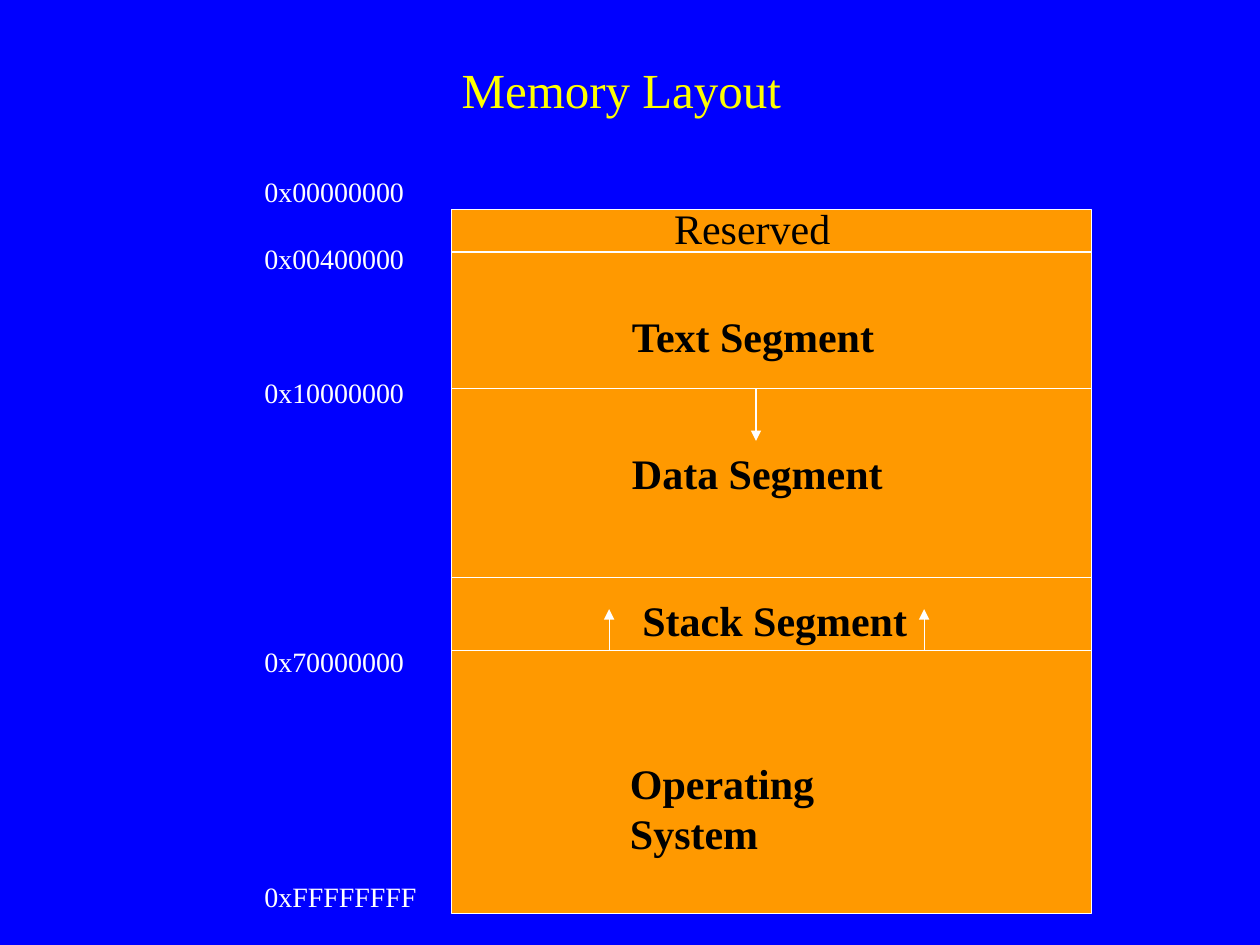
"""Build the memory layout slide."""
import dataclasses

import lxml.etree
import pptx
import pptx.dml.color
import pptx.enum.shapes
import pptx.enum.text
import pptx.oxml.ns
import pptx.util

Cm = pptx.util.Cm
Pt = pptx.util.Pt
ALIGN = pptx.enum.text.PP_ALIGN
ANCHOR = pptx.enum.text.MSO_ANCHOR


@dataclasses.dataclass(frozen=True)
class Theme:
    font: str = "Times New Roman"
    background: str = "0000FF"
    memory: str = "FF9900"
    outline: str = "FFFFFF"
    title: str = "FFFF00"
    label: str = "000000"
    address: str = "FFFFFF"
    title_size: float = 28
    label_size: float = 24
    address_size: float = 16
    address_pitch: float = 19.2
    line_width: float = 0.75


def color(value):
    return pptx.dml.color.RGBColor.from_string(value)


def write(para, text, *, font, size, ink, bold=False, align=ALIGN.LEFT):
    para.alignment = align
    span = para.add_run()
    span.text = text
    span.font.name = font
    span.font.size = Pt(size)
    span.font.bold = bold
    span.font.color.rgb = color(ink)


class Painter:
    def __init__(self, theme, page):
        self.theme = theme
        self.page = page
        page.background.fill.solid()
        page.background.fill.fore_color.rgb = color(theme.background)

    def frame(self, left, top, width, height):
        box = self.page.shapes.add_textbox(Cm(left), Cm(top), Cm(width), Cm(height))
        box.text_frame.word_wrap = False
        return box.text_frame

    def title(self, text, left, top, width, height, indent):
        frame = self.frame(left, top, width, height)
        frame.word_wrap = True
        frame.vertical_anchor = ANCHOR.MIDDLE
        frame.margin_left = Cm(indent)
        write(frame.paragraphs[0], text, font=self.theme.font, size=self.theme.title_size,
              ink=self.theme.title, align=ALIGN.CENTER)

    def label(self, text, left, top, width, bold=True):
        frame = self.frame(left, top, width, 1.27)
        frame.auto_size = pptx.enum.text.MSO_AUTO_SIZE.SHAPE_TO_FIT_TEXT
        write(frame.paragraphs[0], text, font=self.theme.font, size=self.theme.label_size,
              ink=self.theme.label, bold=bold)

    def addresses(self, rows, left, top, width, height):
        frame = self.frame(left, top, width, height)
        pitch = self.theme.address_pitch
        previous = -1
        for row, text in rows:
            para = frame.paragraphs[0] if previous < 0 else frame.add_paragraph()
            para.line_spacing = Pt(pitch)
            para.space_before = Pt(pitch * (row - previous - 1))
            write(para, text, font=self.theme.font, size=self.theme.address_size,
                  ink=self.theme.address)
            previous = row

    def block(self, left, top, right, bottom):
        shape = self.page.shapes.add_shape(
            pptx.enum.shapes.MSO_SHAPE.RECTANGLE,
            Cm(left), Cm(top), Cm(right - left), Cm(bottom - top))
        shape.shadow.inherit = False
        shape.fill.solid()
        shape.fill.fore_color.rgb = color(self.theme.memory)
        shape.line.color.rgb = color(self.theme.outline)
        shape.line.width = Pt(self.theme.line_width)

    def line(self, x1, y1, x2, y2, arrow=False):
        connector = self.page.shapes.add_connector(
            pptx.enum.shapes.MSO_CONNECTOR.STRAIGHT, Cm(x1), Cm(y1), Cm(x2), Cm(y2))
        connector.line.color.rgb = color(self.theme.outline)
        connector.line.width = Pt(self.theme.line_width)
        qn = pptx.oxml.ns.qn
        if arrow:
            lxml.etree.SubElement(connector.line._get_or_add_ln(), qn("a:tailEnd"),
                                  type="triangle")
        lxml.etree.SubElement(connector._element.spPr, qn("a:effectLst"))


def main():
    deck = pptx.Presentation()
    deck.slide_width, deck.slide_height = Cm(25.4), Cm(19.05)
    page = deck.slides.add_slide(deck.slide_layouts[6])
    painter = Painter(Theme(), page)

    left, right = 9.1, 22.01
    top, text_start, data_start, stack_start, system_start, bottom = (
        4.23, 5.08, 7.83, 11.64, 13.12, 18.42)

    painter.title("Memory Layout", 1.48, 0.85, 21.59, 1.9, indent=0.75)
    painter.block(left, top, right, bottom)
    for border in (text_start, data_start, stack_start, system_start):
        painter.line(left, border, right, border)

    painter.addresses(
        [(0, "0x00000000"), (2, "0x00400000"), (6, "0x10000000"),
         (14, "0x70000000"), (21, "0xFFFFFFFF")],
        5.08, 3.39, 3.58, 15.16)

    painter.label("Reserved", 13.34, 3.96, 3.66, bold=False)
    for text, x, y, width in (
            ("Text Segment", 12.49, 6.14, 5.46),
            ("Data Segment", 12.49, 8.89, 5.56),
            ("Stack Segment", 12.7, 11.85, 5.84),
            ("Operating System", 12.45, 15.14, 7.01)):
        painter.label(text, x, y, width)

    for x in (12.28, 18.63):
        painter.line(x, system_start, x, 12.28, arrow=True)
    painter.line(15.24, data_start, 15.24, 8.89, arrow=True)
    deck.save("out.pptx")


if __name__ == "__main__":
    main()
